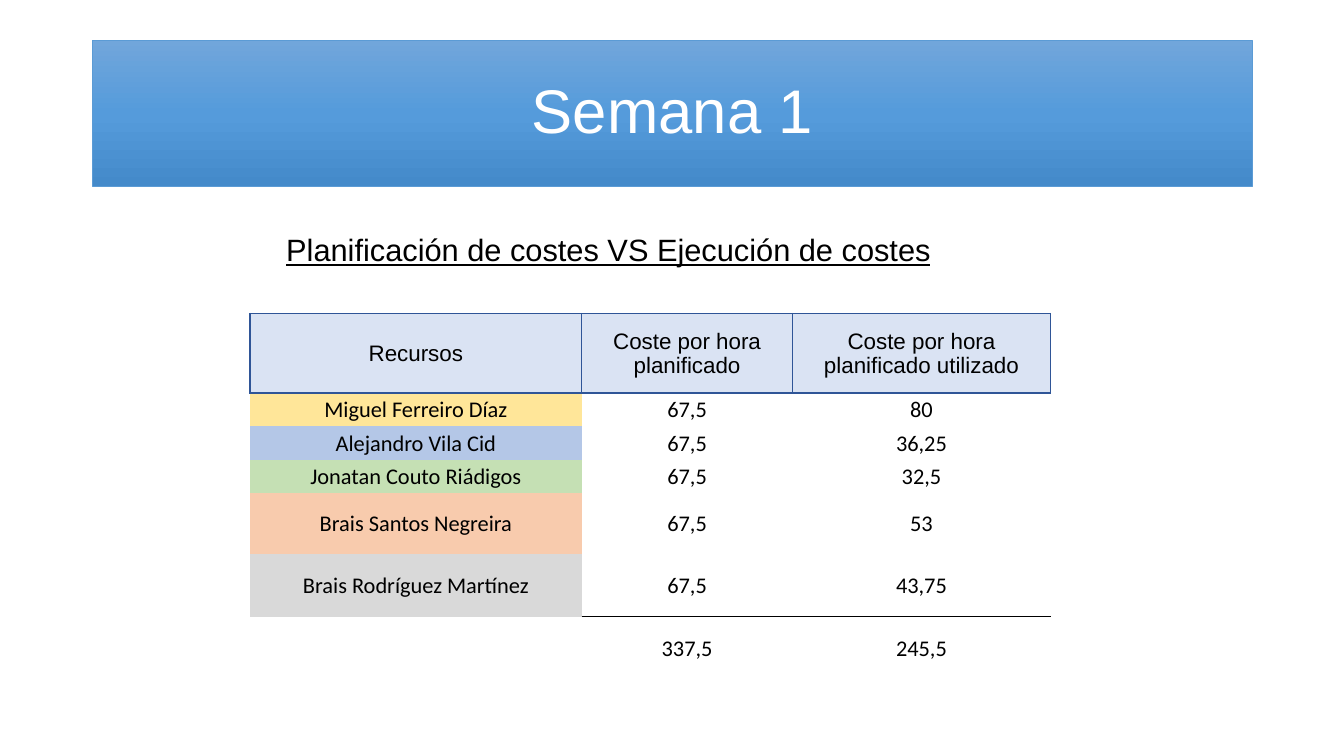
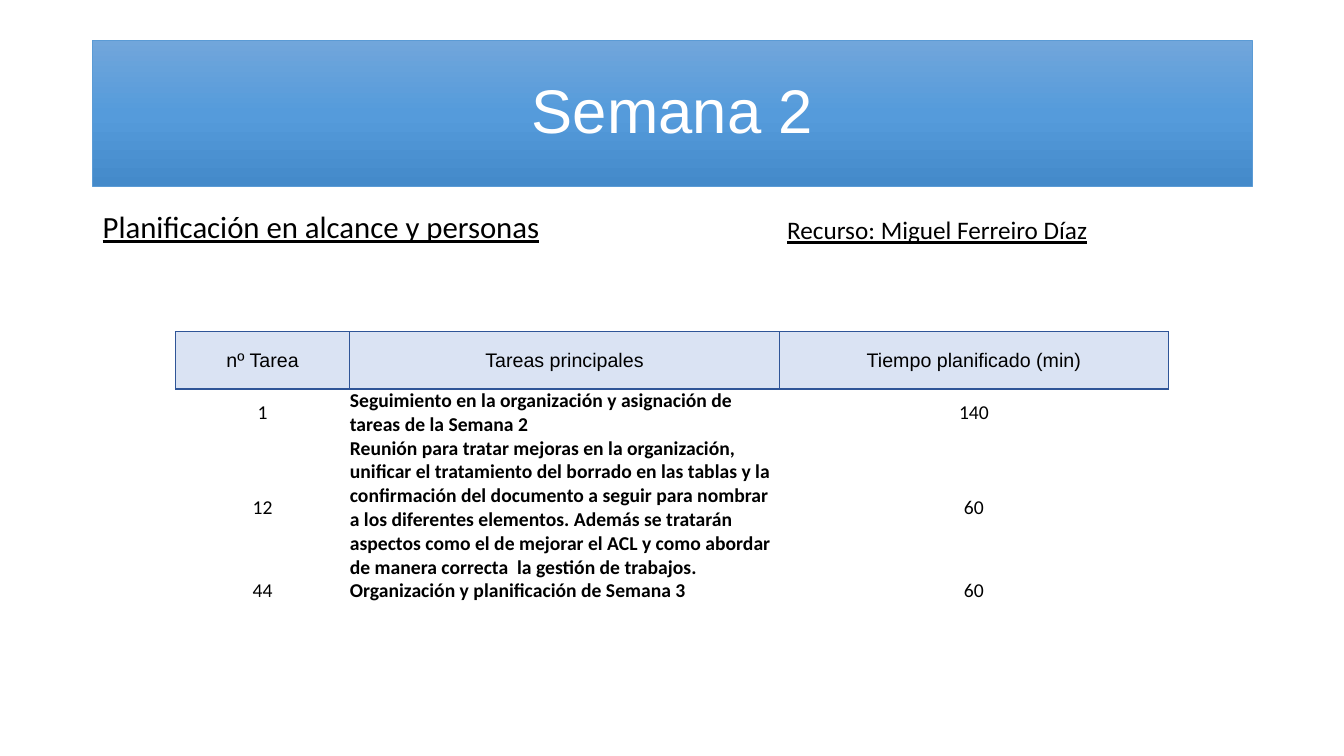
from copy import deepcopy

from lxml import etree
from pptx import Presentation
from pptx.dml.color import RGBColor
from pptx.enum.text import MSO_ANCHOR, MSO_AUTO_SIZE, PP_ALIGN
from pptx.oxml.ns import qn
from pptx.util import Inches, Pt

CENTER, LEFT = PP_ALIGN.CENTER, PP_ALIGN.LEFT
MIDDLE = MSO_ANCHOR.MIDDLE

WHITE = RGBColor(0xFF, 0xFF, 0xFF)
BLACK = RGBColor(0x00, 0x00, 0x00)
BAND_COLORS = [RGBColor(0x71, 0xA6, 0xDB), RGBColor(0x55, 0x9B, 0xDB), RGBColor(0x44, 0x8A, 0xCA)]
BAND_LINE = RGBColor(0x5B, 0x9B, 0xD5)
HEADER_FILL = RGBColor(0xDA, 0xE3, 0xF3)
HEADER_LINE = RGBColor(0x2F, 0x55, 0x97)
YELLOW = RGBColor(0xFF, 0xE6, 0x99)
BLUE = RGBColor(0xB4, 0xC7, 0xE7)
GREEN = RGBColor(0xC5, 0xE0, 0xB4)
ORANGE = RGBColor(0xF8, 0xCB, 0xAD)
GRAY = RGBColor(0xD9, 0xD9, 0xD9)

HEADING_FONT, BODY_FONT = "Arial", "Calibri"
PLAIN_TABLE_STYLE = "{2D5ABB26-0587-4C30-8999-92F81FD0307C}"
TITLE_ONLY = 5
ALL_SIDES = "LRTB"

# Headings: text, left, top, width, height, font, size
PAGES = [
    {
        "title": "Semana 1",
        "headings": [
            ("Planificación de costes VS Ejecución de costes", 2.74, 2.24, 7.42, 0.47, HEADING_FONT, 22),
        ],
        "table": {
            "corner": (2.48, 3.11),
            "columns": [3.29, 2.09, 2.56],
            "heights": [0.79, 0.33, 0.33, 0.33, 0.61, 0.62, 0.62],
            "size": 16,
            "margin": 0.01,
            "rows": [
                ("Recursos", "Coste por hora planificado", "Coste por hora planificado utilizado"),
                ("Miguel Ferreiro Díaz", "67,5", "80"),
                ("Alejandro Vila Cid", "67,5", "36,25"),
                ("Jonatan Couto Riádigos", "67,5", "32,5"),
                ("Brais Santos Negreira", "67,5", "53"),
                ("Brais Rodríguez Martínez", "67,5", "43,75"),
                ("", "337,5", "245,5"),
            ],
            "row_colors": [YELLOW, BLUE, GREEN, ORANGE, GRAY],
            "has_total": True,
        },
    },
    {
        "title": "Semana 2",
        "headings": [
            ("Planificación en alcance y personas", 0.92, 2.01, 4.57, 0.47, BODY_FONT, 22),
            ("Recurso: Miguel Ferreiro Díaz", 7.71, 2.08, 3.67, 0.4, BODY_FONT, 18),
        ],
        "table": {
            "corner": (1.74, 3.29),
            "columns": [1.73, 4.26, 3.86],
            "heights": [0.57, 0.47, 1.41, 0.22],
            "size": 14,
            "margin": 0,
            "rows": [
                ("nº Tarea", "Tareas principales", "Tiempo planificado (min)"),
                ("1", "Seguimiento en la organización y asignación de tareas de la Semana 2", "140"),
                (
                    "12",
                    "Reunión para tratar mejoras en la organización, unificar el tratamiento "
                    "del borrado en las tablas y la confirmación del documento a seguir para "
                    "nombrar a los diferentes elementos. Además se tratarán aspectos como el de "
                    "mejorar el ACL y como abordar de manera correcta  la gestión de trabajos.",
                    "60",
                ),
                ("44", "Organización y planificación de Semana 3", "60"),
            ],
            "bold_column": 1,
        },
    },
]


def format_text(frame, font_name, size, color=BLACK, align=LEFT, bold=False, underline=False):
    paragraph = frame.paragraphs[0]
    paragraph.alignment = align
    for span in paragraph.runs:
        font = span.font
        font.name, font.size, font.color.rgb = font_name, Pt(size), color
        font.bold, font.underline = bold, underline


def add_title_band(page, text):
    band = page.shapes.title
    band.left, band.top, band.width, band.height = map(Inches, (0.92, 0.4, 11.5, 1.45))
    band.fill.gradient()
    stop_list = band.fill._fill._gradFill.find(qn("a:gsLst"))
    stop_list.insert(1, deepcopy(stop_list[0]))
    stops = band.fill.gradient_stops
    for index, (stop, color) in enumerate(zip(stops, BAND_COLORS)):
        stop.color.rgb = color
        stop.position = index / (len(BAND_COLORS) - 1)
    band.fill.gradient_angle = 270
    band.line.color.rgb = BAND_LINE
    band.line.width = Pt(0.5)
    frame = band.text_frame
    frame.text = text
    frame.auto_size = MSO_AUTO_SIZE.NONE
    frame.vertical_anchor = MIDDLE
    frame.paragraphs[0].line_spacing = 0.9
    format_text(frame, HEADING_FONT, 44, WHITE, CENTER)


def add_heading(page, text, left, top, width, height, font_name, size):
    box = page.shapes.add_textbox(*map(Inches, (left, top, width, height)))
    box.text_frame.word_wrap = True
    box.text_frame.text = text
    format_text(box.text_frame, font_name, size, underline=True)


def set_borders(cell, sides, color, width):
    """Draw the given sides; borders must come before the fill in the cell."""
    properties = cell._tc.get_or_add_tcPr()
    for index, side in enumerate(sides):
        line = etree.Element(qn(f"a:ln{side}"), w=str(Pt(width)))
        fill = etree.SubElement(line, qn("a:solidFill"))
        etree.SubElement(fill, qn("a:srgbClr"), val=str(color))
        properties.insert(index, line)


def add_data_table(page, data):
    rows, columns, heights = data["rows"], data["columns"], data["heights"]
    extent = (*data["corner"], sum(columns), sum(heights))
    table = page.shapes.add_table(len(rows), len(columns), *map(Inches, extent)).table
    table._tbl.tblPr.find(qn("a:tableStyleId")).text = PLAIN_TABLE_STYLE
    table.horz_banding = False
    for column, width in zip(table.columns, columns):
        column.width = Inches(width)
    for row, height in zip(table.rows, heights):
        row.height = Inches(height)

    row_colors = data.get("row_colors", [])
    for row_index, texts in enumerate(rows):
        is_header = row_index == 0
        is_total = data.get("has_total", False) and row_index == len(rows) - 1
        for column_index, text in enumerate(texts):
            cell = table.cell(row_index, column_index)
            cell.text = text
            cell.vertical_anchor = MIDDLE
            cell.margin_left = cell.margin_right = cell.margin_top = Inches(data["margin"])
            cell.margin_bottom = 0
            is_bold = not is_header and column_index == data.get("bold_column")
            format_text(
                cell.text_frame,
                HEADING_FONT if is_header else BODY_FONT,
                data["size"],
                align=LEFT if is_bold else CENTER,
                bold=is_bold,
            )
            if is_header:
                color = HEADER_FILL
            elif column_index == 0 and row_index <= len(row_colors):
                color = row_colors[row_index - 1]
            else:
                color = None
            if color is None:
                cell.fill.background()
            else:
                cell.fill.solid()
                cell.fill.fore_color.rgb = color
            if is_header:
                set_borders(cell, ALL_SIDES, HEADER_LINE, 1)
            elif is_total and column_index > 0:
                set_borders(cell, "T", BLACK, 0.5)
                set_borders(table.cell(row_index - 1, column_index), "B", BLACK, 0.5)


def main():
    deck = Presentation()
    deck.slide_width, deck.slide_height = Inches(13.33), Inches(7.5)
    for content in PAGES:
        page = deck.slides.add_slide(deck.slide_layouts[TITLE_ONLY])
        add_title_band(page, content["title"])
        for heading in content["headings"]:
            add_heading(page, *heading)
        add_data_table(page, content["table"])
    deck.save("out.pptx")


if __name__ == "__main__":
    main()
